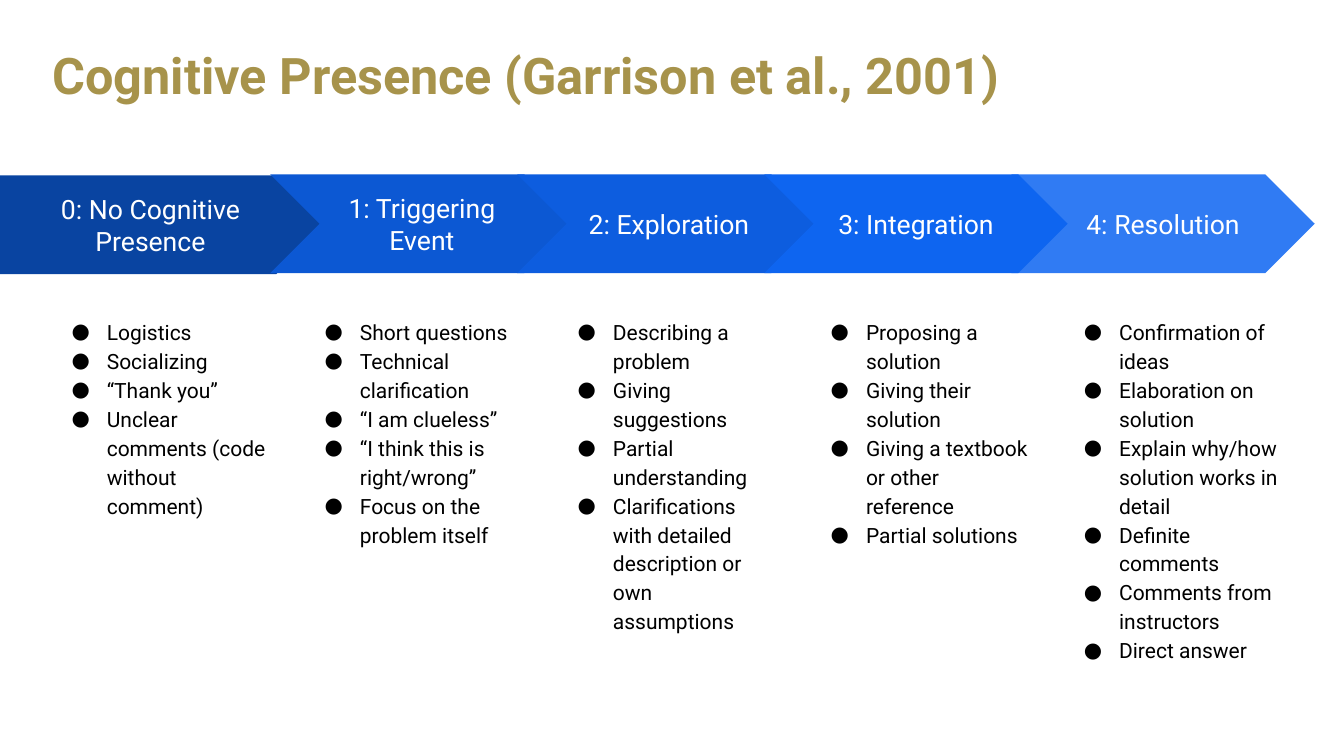
from lxml.etree import SubElement
from pptx import Presentation
from pptx.dml.color import RGBColor
from pptx.enum.shapes import MSO_SHAPE
from pptx.enum.text import MSO_ANCHOR, MSO_AUTO_SIZE, PP_ALIGN
from pptx.oxml.ns import qn
from pptx.util import Inches, Pt

FONT = "Roboto"
COLORS = {
    "title": "A7934B",
    "text": "000000",
    "label": "FFFFFF",
    "stages": ["0944A1", "0C58D3", "0D5DDF", "0E65F0", "307BF3"],
}
STAGES = [
    ("0: No Cognitive Presence", [
        "Logistics",
        "Socializing",
        "“Thank you”",
        "Unclear comments (code without comment)",
    ]),
    ("1: Triggering Event", [
        "Short questions",
        "Technical clarification",
        "“I am clueless”",
        "“I think this is right/wrong”",
        "Focus on the problem itself",
    ]),
    ("2: Exploration", [
        "Describing a problem",
        "Giving suggestions",
        "Partial understanding",
        "Clarifications with detailed description or own assumptions",
    ]),
    ("3: Integration", [
        "Proposing a solution",
        "Giving their solution",
        "Giving a textbook or other reference",
        "Partial solutions",
    ]),
    ("4: Resolution", [
        "Confirmation of ideas",
        "Elaboration on solution",
        "Explain why/how solution works in detail",
        "Definite comments",
        "Comments from instructors",
        "Direct answer",
    ]),
]
STACKING_ORDER = (0, 1, 2, 4, 3)
FIRST_CHEVRON_LEFT, CHEVRON_PITCH = 2.68, 2.45
FIRST_LIST_LEFT, LIST_PITCH = 0.43, 2.51


def format_runs(paragraph, size, color, bold=False):
    for run in paragraph.runs:
        run.font.name = FONT
        run.font.size = Pt(size)
        run.font.bold = bold
        run.font.color.rgb = RGBColor.from_string(color)


def set_frame(text_frame, anchor, side, top):
    text_frame.word_wrap = True
    text_frame.auto_size = MSO_AUTO_SIZE.NONE
    text_frame.vertical_anchor = anchor
    text_frame.margin_left = text_frame.margin_right = Inches(side)
    text_frame.margin_top = text_frame.margin_bottom = Inches(top)


def add_bullet(paragraph):
    properties = paragraph._p.get_or_add_pPr()
    properties.set("marL", str(Inches(0.5)))
    properties.set("indent", str(Inches(-0.35)))
    bullet_color = SubElement(properties, qn("a:buClr"))
    SubElement(bullet_color, qn("a:srgbClr"), val=COLORS["text"])
    SubElement(properties, qn("a:buFont"), typeface=FONT)
    SubElement(properties, qn("a:buChar"), char="●")


def set_title(slide, text):
    title = slide.shapes.title
    title.left, title.top = Inches(0.42), Inches(0.22)
    title.width, title.height = Inches(12.5), Inches(1.11)
    set_frame(title.text_frame, MSO_ANCHOR.MIDDLE, 0.1, 0.05)
    title.text_frame.text = text
    paragraph = title.text_frame.paragraphs[0]
    paragraph.alignment = PP_ALIGN.LEFT
    paragraph.line_spacing = 0.9
    format_runs(paragraph, 36, COLORS["title"], bold=True)


def add_stage_arrow(shapes, index, label):
    if index == 0:
        kind, left, top, width = MSO_SHAPE.PENTAGON, 0, 1.74, 3.23
    else:
        kind, top, width = MSO_SHAPE.CHEVRON, 1.73, 3.01
        left = FIRST_CHEVRON_LEFT + (index - 1) * CHEVRON_PITCH
    arrow = shapes.add_shape(kind, Inches(left), Inches(top), Inches(width), Inches(0.98))
    arrow.adjustments[0] = 0.5
    arrow.shadow.inherit = False
    arrow.fill.solid()
    arrow.fill.fore_color.rgb = RGBColor.from_string(COLORS["stages"][index])
    arrow.line.fill.background()
    set_frame(arrow.text_frame, MSO_ANCHOR.MIDDLE, 0.13, 0.13)
    arrow.text_frame.text = label
    paragraph = arrow.text_frame.paragraphs[0]
    paragraph.alignment = PP_ALIGN.CENTER
    format_runs(paragraph, 19, COLORS["label"])


def add_stage_list(shapes, index, items):
    left = FIRST_LIST_LEFT + index * LIST_PITCH
    box = shapes.add_textbox(Inches(left), Inches(3), Inches(2.37), Inches(3.43))
    set_frame(box.text_frame, MSO_ANCHOR.TOP, 0.13, 0.13)
    box.text_frame.text = "\n".join(items)
    for paragraph in box.text_frame.paragraphs:
        add_bullet(paragraph)
        paragraph.line_spacing = 1.15
        format_runs(paragraph, 15, COLORS["text"])


def main():
    presentation = Presentation()
    presentation.slide_width = Inches(13.33)
    presentation.slide_height = Inches(7.5)
    slide = presentation.slides.add_slide(presentation.slide_layouts.get_by_name("Title Only"))
    set_title(slide, "Cognitive Presence (Garrison et al., 2001)")
    for index in STACKING_ORDER:
        label, items = STAGES[index]
        stage = slide.shapes.add_group_shape()
        add_stage_arrow(stage.shapes, index, label)
        add_stage_list(stage.shapes, index, items)
    presentation.save("out.pptx")


if __name__ == "__main__":
    main()
